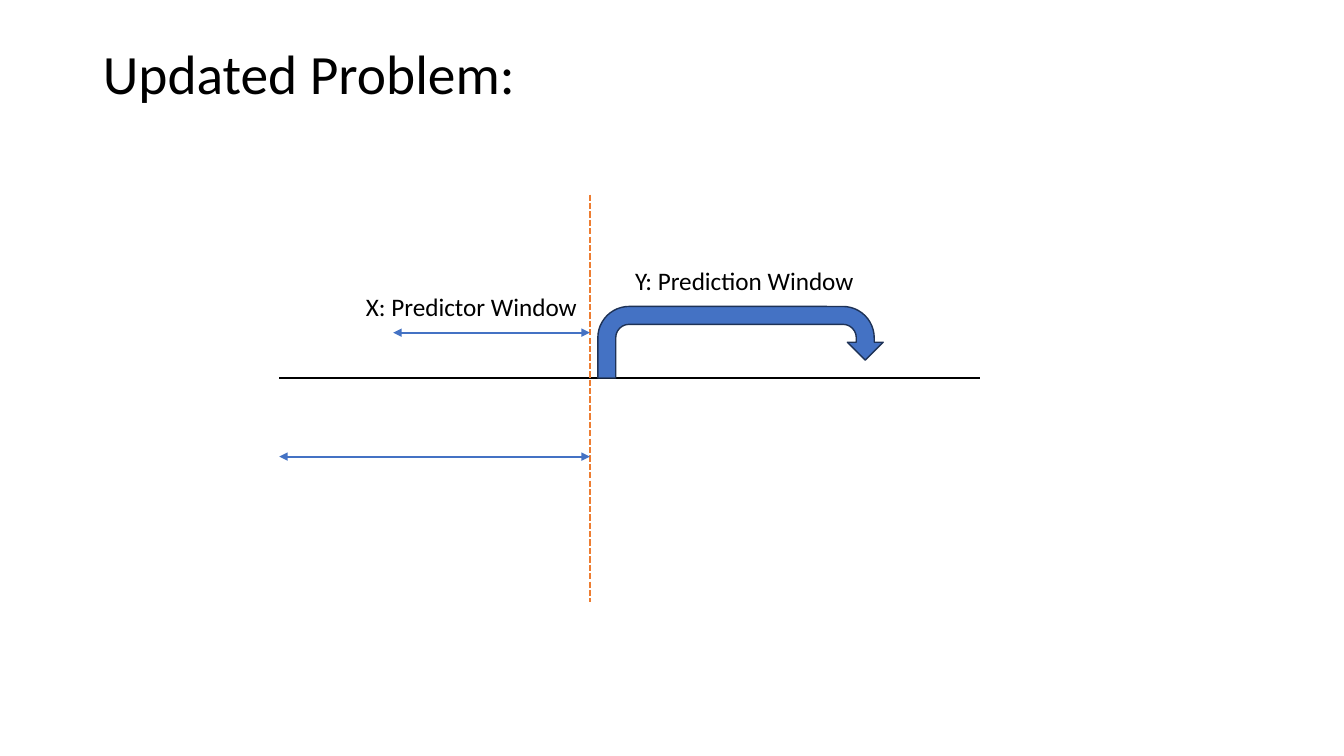
import pptx
import pptx.util
import pptx.dml.color
import pptx.enum.dml
import pptx.enum.shapes
import pptx.enum.text
import pptx.oxml

EMU_PER_PX = 9144  # 100 px to the inch
FONT = "Calibri"
BLACK, BLUE, NAVY, ORANGE = "000000", "4472C4", "1E3256", "ED7D31"

TIMELINE_START, NOW, TIMELINE_END = 277, 585, 972
TIMELINE_Y = 375


def px(length):
    return pptx.util.Emu(length * EMU_PER_PX)


def color(hex_string):
    return pptx.dml.color.RGBColor.from_string(hex_string)


def format_text(frame, text, size):
    frame.text = text
    font = frame.paragraphs[0].runs[0].font
    font.name = FONT
    font.size = pptx.util.Pt(size)
    font.color.rgb = color(BLACK)


def add_title(slide, text):
    title = slide.shapes.title
    title.left, title.top, title.width, title.height = map(px, (92, 40, 1150, 71))
    frame = title.text_frame
    frame.vertical_anchor = pptx.enum.text.MSO_ANCHOR.MIDDLE
    frame.auto_size = pptx.enum.text.MSO_AUTO_SIZE.NONE
    format_text(frame, text, 39.6)
    frame.paragraphs[0].alignment = pptx.enum.text.PP_ALIGN.LEFT
    frame.paragraphs[0].line_spacing = 0.9


def add_line(slide, start, end, hex_string, dash=None, arrows=False):
    line = slide.shapes.add_connector(
        pptx.enum.shapes.MSO_CONNECTOR.STRAIGHT, *map(px, start + end))
    line.line.color.rgb = color(hex_string)
    line.line.width = pptx.util.Pt(1.5)
    if dash:
        line.line.dash_style = dash
    if arrows:
        outline = line.line._get_or_add_ln()
        for tag in ("a:headEnd", "a:tailEnd"):
            pptx.oxml.xmlchemy.OxmlElement(tag)
            arrowhead = pptx.oxml.xmlchemy.OxmlElement(tag)
            arrowhead.set("type", "triangle")
            outline.append(arrowhead)
    line._element.spPr.append(pptx.oxml.xmlchemy.OxmlElement("a:effectLst"))


def add_span(slide, start, y):
    """Draw a double-headed arrow from start up to the present moment."""
    add_line(slide, (start, y), (NOW, y), BLUE, arrows=True)


def add_prediction_arrow(slide):
    arrow = slide.shapes.add_shape(
        pptx.enum.shapes.MSO_SHAPE.U_TURN_ARROW,
        *map(px, (593, 304, 283, TIMELINE_Y - 304)))
    arrow.shadow.inherit = False
    arrow.fill.solid()
    arrow.fill.fore_color.rgb = color(BLUE)
    arrow.line.color.rgb = color(NAVY)
    arrow.line.width = pptx.util.Pt(1)


def add_label(slide, left, top, width, text):
    label = slide.shapes.add_textbox(*map(px, (left, top, width, 40)))
    label.text_frame.word_wrap = False
    label.text_frame.auto_size = pptx.enum.text.MSO_AUTO_SIZE.SHAPE_TO_FIT_TEXT
    format_text(label.text_frame, text, 18)


def main():
    deck = pptx.Presentation()
    deck.slide_width, deck.slide_height = px(1333), px(750)
    slide = deck.slides.add_slide(deck.slide_layouts.get_by_name("Title Only"))

    add_title(slide, "Updated Problem:")
    add_line(slide, (TIMELINE_START, TIMELINE_Y), (TIMELINE_END, TIMELINE_Y), BLACK)
    add_line(slide, (NOW, 193), (NOW, 597), ORANGE,
             dash=pptx.enum.dml.MSO_LINE.SQUARE_DOT)
    add_prediction_arrow(slide)
    add_label(slide, 620, 258, 240, "Y: Prediction Window")
    add_span(slide, TIMELINE_START, 453)
    add_span(slide, 390, 330)
    add_label(slide, 353, 284, 232, "X: Predictor Window")

    deck.save("out.pptx")


if __name__ == "__main__":
    main()
